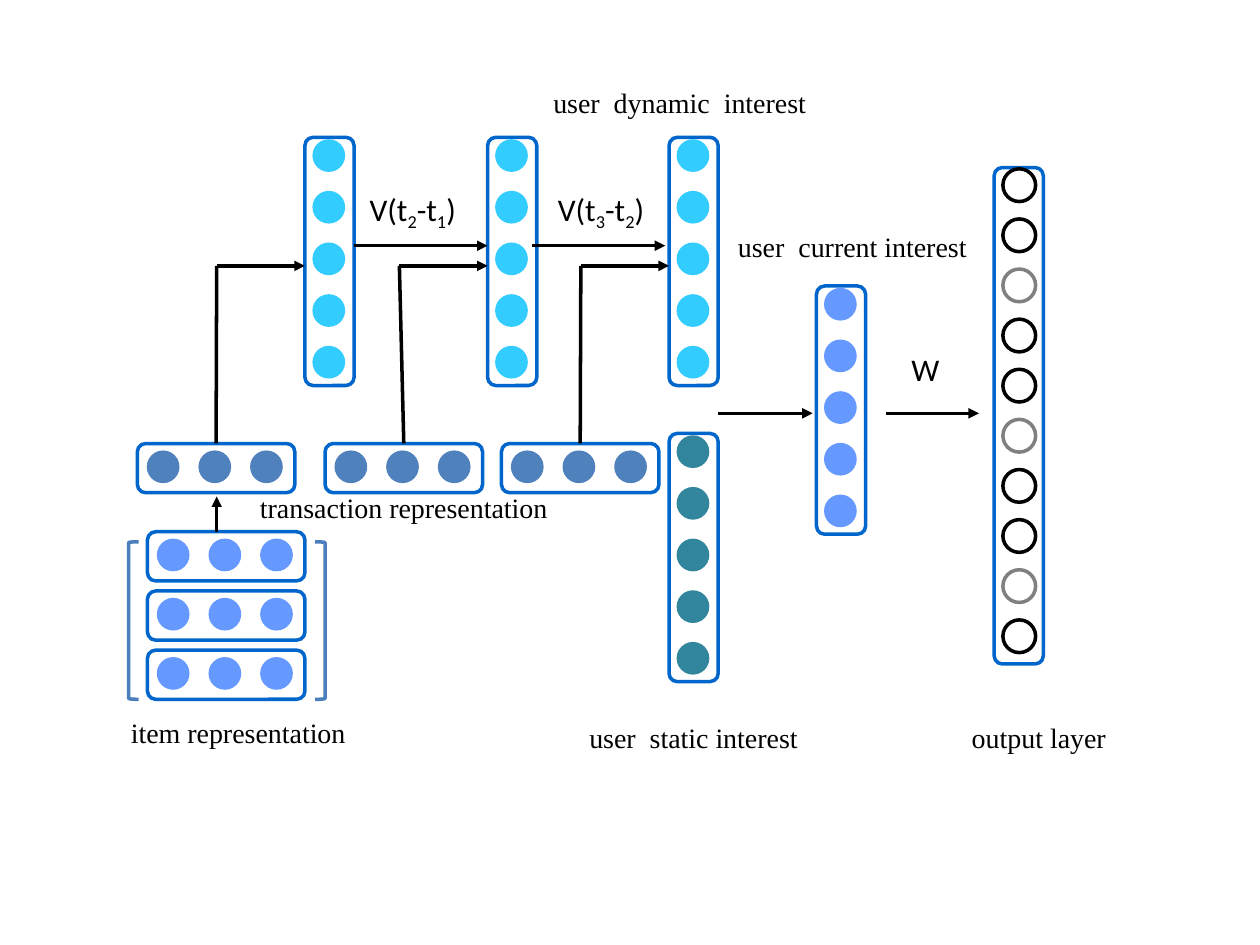
from pptx import Presentation
from pptx.dml.color import RGBColor
from pptx.enum.shapes import MSO_CONNECTOR, MSO_SHAPE
from pptx.enum.text import MSO_ANCHOR, PP_ALIGN
from pptx.oxml.ns import qn
from pptx.util import Inches, Pt
from lxml import etree

BOX, DOT, BRACE = MSO_SHAPE.ROUNDED_RECTANGLE, MSO_SHAPE.OVAL, MSO_SHAPE.LEFT_BRACKET
LINE = MSO_CONNECTOR.STRAIGHT
LEFT, MID, CENTER = PP_ALIGN.LEFT, MSO_ANCHOR.MIDDLE, PP_ALIGN.CENTER
BLUE, BLACK, GREY = "0066CC", "000000", "808080"
SKY, PALE, STEEL, TEAL = "33CCFF", "6699FF", "4F81BD", "31859C"
SERIF, SANS = "Times New Roman", "Calibri"
SIDE, LONG, SIZE, STEP = 0.39, 1.25, 0.26, 0.41
rgb = RGBColor.from_string

deck = Presentation()
deck.slide_width, deck.slide_height = Inches(10), Inches(7.5)
slide = deck.slides.add_slide(deck.slide_layouts[6])


def draw(shapes, kind, x, y, w, h, fill=None, line=None):
    shape = shapes.add_shape(kind, Inches(x), Inches(y), Inches(w), Inches(h))
    shape.shadow.inherit = False
    if fill:
        shape.fill.solid()
        shape.fill.fore_color.rgb = rgb(fill)
    else:
        shape.fill.background()
    if line:
        shape.line.color.rgb = rgb(line)
        shape.line.width = Pt(2)
    else:
        shape.line.fill.background()
    return shape


def write(text, x, y, w, h, font=SERIF, size=16, color=BLACK, align=CENTER):
    """Add a label; the character after each underscore is a subscript."""
    frame = slide.shapes.add_textbox(Inches(x), Inches(y), Inches(w), Inches(h)).text_frame
    frame.word_wrap = True
    frame.vertical_anchor = MID
    para = frame.paragraphs[0]
    para.alignment = align
    first, *rest = text.split("_")
    parts = [(first, False)]
    for part in rest:
        parts += [(part[0], True), (part[1:], False)]
    for part, sub in parts:
        run = para.add_run()
        run.text = part
        run.font.name, run.font.size = font, Pt(size)
        run.font.color.rgb = rgb(color)
        if sub:
            run.font._element.set("baseline", "-25000")


# Upright layers: left, top, dot colour
for x, y, color in [
    (2.42, 1.09, SKY), (3.87, 1.09, SKY), (5.31, 1.09, SKY),
    (5.31, 3.44, TEAL), (6.48, 2.27, PALE),
]:
    group = slide.shapes.add_group_shape().shapes
    draw(group, BOX, x, y, SIDE, 1.97, line=BLUE)
    for i in range(5):
        draw(group, DOT, x + 0.06, y + 0.015 + i * STEP, SIZE, SIZE, fill=color)

# Output layer: every third ring is grey
group = slide.shapes.add_group_shape().shapes
draw(group, BOX, 7.89, 1.33, SIDE, 3.94, line=BLUE)
for i in range(10):
    ring = GREY if i % 3 == 2 else BLACK
    draw(group, DOT, 7.96, 1.34 + i * 3.58 / 9, SIZE, SIZE, line=ring)

# Flat layers: three transactions in a row, three items in a stack
flat = [(x, 3.52, STEEL) for x in (1.09, 2.58, 3.98)]
flat += [(1.17, 4.22 + i * 0.47, PALE) for i in range(3)]
bars = []
for x, y, color in flat:
    group = slide.shapes.add_group_shape().shapes
    bars.append(draw(group, BOX, x, y, LONG, SIDE, line=BLUE))
    for i in range(3):
        draw(group, DOT, x + 0.075 + i * STEP, y + 0.055, SIZE, SIZE, fill=color)

# Brackets around the items
for x, turn in [(1.02, 0), (2.5, 180)]:
    draw(slide.shapes, BRACE, x, 4.3, 0.08, LONG, line="4B7EBC").rotation = turn

# Lines and arrows: start, end, has head, bar joined at the end
lines = [
    (5.7, 3.28, 6.45, 3.28, True, None),
    (7.03, 3.28, 7.77, 3.28, True, None),
    (2.81, 1.95, 3.87, 1.95, True, None),
    (4.22, 1.95, 5.28, 1.95, True, None),
    (1.72, 4.22, 1.72, 3.94, True, None),
]
for x, bar in zip((1.72, 3.17, 4.61), bars):
    lines.append((x, 2.11, x + 0.02, 3.52, False, bar))
    lines.append((x, 2.11, x + 0.7, 2.11, True, None))
for x1, y1, x2, y2, head, bar in lines:
    link = slide.shapes.add_connector(LINE, Inches(x1), Inches(y1), Inches(x2), Inches(y2))
    link.line.color.rgb = rgb(BLACK)
    link.line.width = Pt(2)
    if bar is not None:
        link.end_connect(bar, 0)
    if head:
        etree.SubElement(link.line._get_or_add_ln(), qn("a:tailEnd"), type="triangle")
    etree.SubElement(link._element.spPr, qn("a:effectLst"))

# Layer names
write("user  dynamic  interest", 3.91, 0.7, 2.97, 0.23)
write("user  current interest", 5.63, 1.8, 2.27, 0.31)
write("user  static interest", 4.37, 5.7, 2.27, 0.31)
write("output layer", 7.11, 5.7, 2.27, 0.31)
write("transaction representation", 1.72, 3.91, 2.97, 0.23)
write("item representation", 0.94, 5.7, 2.97, 0.23, align=LEFT)

# Weights on the arrows
write("V(t_2-t_1)", 2.73, 1.48, 1.09, 0.39, font=SANS, size=18)
write("V(t_3-t_2)", 4.3, 1.48, 0.94, 0.39, font=SANS, size=18)
write("W", 7.11, 2.73, 0.47, 0.39, font=SANS, size=18)

deck.save("out.pptx")
